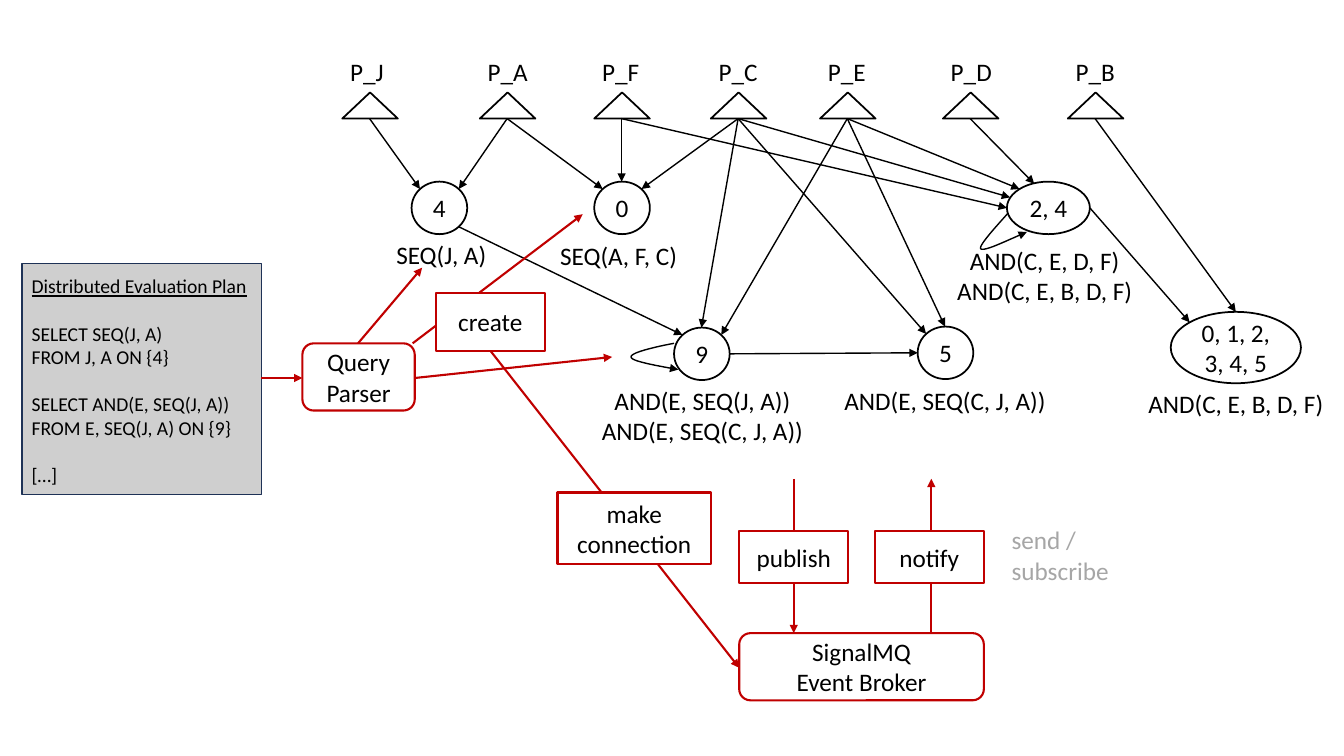
from math import cos, radians, sin

from lxml.etree import SubElement
from pptx import Presentation
from pptx.dml.color import RGBColor
from pptx.enum.shapes import MSO_CONNECTOR, MSO_SHAPE
from pptx.enum.text import MSO_ANCHOR, PP_ALIGN
from pptx.oxml.ns import qn
from pptx.util import Pt

PX = 9525
BLACK = RGBColor(0x00, 0x00, 0x00)
WHITE = RGBColor(0xFF, 0xFF, 0xFF)
RED = RGBColor(0xC0, 0x00, 0x00)
GREY = RGBColor(0xA6, 0xA6, 0xA6)
NAVY = RGBColor(0x1E, 0x32, 0x56)

# Directions on a node's rim, in degrees clockwise from the right
E, SE, W, NW, N, NE = 0, 45, 180, 225, 270, 315

SOURCES = {"J": 352, "A": 483, "F": 592, "C": 703, "E": 807, "D": 924, "B": 1043}
BASE = 113
NODES = {
    "seq_ja": ("4", 392, 173, 53, 50),
    "seq_afc": ("0", 566, 173, 53, 50),
    "and_eja": ("9", 642, 312, 53, 50),
    "and_ecja": ("5", 874, 311, 53, 50),
    "and_cedf": ("2, 4", 959, 173, 79, 50),
    "and_all": ("0, 1, 2, 3, 4, 5", 1115, 297, 124, 68),
}
INPUTS = [
    ("J", "seq_ja", NW), ("A", "seq_ja", NE),
    ("A", "seq_afc", NW), ("F", "seq_afc", N), ("C", "seq_afc", NE),
    ("C", "and_eja", N), ("E", "and_eja", NE),
    ("C", "and_ecja", NW), ("E", "and_ecja", N),
    ("E", "and_cedf", NW), ("F", "and_cedf", W),
    ("C", "and_cedf", 204), ("D", "and_cedf", 250),
    ("B", "and_all", N),
]
FLOWS = [
    ("seq_ja", SE, "and_eja", NW),
    ("and_eja", E, "and_ecja", W),
    ("and_cedf", E, "and_all", NW),
]
LOOPS = [
    [(646, 352), (624, 348), (601, 344), (601, 340), (600, 335), (636, 328), (642, 327)],
    [(978, 221), (957, 230), (937, 240), (934, 237), (931, 234), (957, 207), (960, 203)],
]
LABELS = [
    (["SEQ(J, A)"], 368, 223, 113, PP_ALIGN.LEFT),
    (["SEQ(A, F, C)"], 524, 224, 137, PP_ALIGN.LEFT),
    (["AND(E, SEQ(J, A))", "AND(E, SEQ(C, J, A))"], 558, 362, 222, PP_ALIGN.CENTER),
    (["AND(E, SEQ(C, J, A))"], 789, 362, 222, PP_ALIGN.CENTER),
    (["AND(C, E, D, F)", "AND(C, E, B, D, F)"], 884, 229, 222, PP_ALIGN.CENTER),
    (["AND(C, E, B, D, F)"], 1066, 365, 222, PP_ALIGN.CENTER),
]
PLAN = [
    "Distributed Evaluation Plan", "SELECT SEQ(J, A)", "FROM J, A ON {4}",
    "SELECT AND(E, SEQ(J, A)) FROM E, SEQ(J, A) ON {9}", "[…]",
]
RED_ARROWS = [
    (756, 456, 756, 603), (887, 603, 887, 456),
    (341, 327, 402, 255), (395, 360, 583, 340),
    (393, 327, 555, 204), (249, 360, 288, 360), (467, 334, 704, 636),
]
RED_BOXES = [
    (MSO_SHAPE.ROUNDED_RECTANGLE, 288, 327, 107, 64, ["Query Parser"]),
    (MSO_SHAPE.RECTANGLE, 415, 279, 104, 55, ["create"]),
    (MSO_SHAPE.ROUNDED_RECTANGLE, 704, 603, 233, 64, ["SignalMQ", "Event Broker"]),
    (MSO_SHAPE.RECTANGLE, 704, 506, 104, 49, ["publish"]),
    (MSO_SHAPE.RECTANGLE, 833, 506, 104, 49, ["notify"]),
    (MSO_SHAPE.RECTANGLE, 531, 469, 146, 68, ["make connection"]),
]


def rim(name, angle):
    """Point on the outline of a node in the given direction."""
    _, x, y, w, h = NODES[name]
    turn = radians(angle)
    return round(x + w / 2 * (1 + cos(turn))), round(y + h / 2 * (1 + sin(turn)))


def bend(a, b, c, d, steps=12):
    """Points along a cubic curve, without its start, in EMU."""
    for i in range(1, steps + 1):
        t = i / steps
        u = 1 - t
        yield tuple(
            round(PX * (u**3 * p + 3 * u * u * t * q + 3 * u * t * t * r + t**3 * s))
            for p, q, r, s in zip(a, b, c, d)
        )


class Board:
    def __init__(self, slide, font="Calibri", size=18):
        self.shapes = slide.shapes
        self.font = font
        self.size = size

    def text(self, frame, lines, align, color=BLACK, size=None):
        frame.word_wrap = True
        for i, line in enumerate(lines):
            par = frame.paragraphs[0] if i == 0 else frame.add_paragraph()
            par.text = line
            par.alignment = align
            par.font.name = self.font
            par.font.size = Pt(size or self.size)
            par.font.color.rgb = color

    def label(self, lines, x, y, w, h, align=PP_ALIGN.LEFT, color=BLACK):
        box = self.shapes.add_textbox(x * PX, y * PX, w * PX, h * PX)
        self.text(box.text_frame, lines, align, color)

    def stroke(self, item, color, width, end=None):
        """Set the line, with an arrowhead at headEnd or tailEnd if named."""
        item.line.color.rgb = color
        item.line.width = Pt(width)
        if end:
            SubElement(item.element.spPr.find(qn("a:ln")), qn(end), type="triangle")

    def shape(self, kind, x, y, w, h, line=BLACK, width=1.25, fill=WHITE):
        item = self.shapes.add_shape(kind, x * PX, y * PX, w * PX, h * PX)
        item.shadow.inherit = False
        item.fill.solid()
        item.fill.fore_color.rgb = fill
        self.stroke(item, line, width)
        return item

    def box(self, kind, x, y, w, h, lines, line=RED, width=1.5):
        item = self.shape(kind, x, y, w, h, line, width)
        frame = item.text_frame
        frame.vertical_anchor = MSO_ANCHOR.MIDDLE
        self.text(frame, lines, PP_ALIGN.CENTER)
        return item

    def node(self, text, x, y, w, h):
        frame = self.box(MSO_SHAPE.OVAL, x, y, w, h, [text], BLACK, 1.25).text_frame
        frame.margin_left = frame.margin_right = 3 * PX
        frame.margin_top = frame.margin_bottom = 0

    def arrow(self, x1, y1, x2, y2, color=BLACK, width=1):
        item = self.shapes.add_connector(
            MSO_CONNECTOR.STRAIGHT, x1 * PX, y1 * PX, x2 * PX, y2 * PX)
        self.stroke(item, color, width, "a:tailEnd")
        SubElement(item.element.spPr, qn("a:effectLst"))

    def loop(self, points):
        """Curved arrow from a node to itself, with its head at the first point."""
        x, y = points[0]
        curve = self.shapes.build_freeform(x * PX, y * PX)
        for i in (0, 3):
            curve.add_line_segments(list(bend(*points[i:i + 4])), close=False)
        item = curve.convert_to_shape()
        item.shadow.inherit = False
        item.fill.background()
        self.stroke(item, BLACK, 1, "a:headEnd")

    def plan(self, lines, x, y, w, h):
        item = self.shape(MSO_SHAPE.RECTANGLE, x, y, w, h, NAVY, 1, GREY)
        tint = item.element.spPr.find(qn("a:solidFill"))[0]
        SubElement(tint, qn("a:alpha"), val="53000")
        frame = item.text_frame
        frame.vertical_anchor = MSO_ANCHOR.TOP
        frame.margin_top = 10 * PX
        frame.margin_left = frame.margin_right = 9 * PX
        self.text(frame, lines, PP_ALIGN.LEFT, size=14)
        frame.paragraphs[0].font.underline = True
        for i in (1, 3, 4):
            frame.paragraphs[i].space_before = Pt(17)


def main():
    deck = Presentation()
    deck.slide_width, deck.slide_height = 1280 * PX, 720 * PX
    board = Board(deck.slides.add_slide(deck.slide_layouts[6]))
    board.plan(PLAN, 21, 251, 228, 220)
    for name, x in SOURCES.items():
        board.shape(MSO_SHAPE.ISOSCELES_TRIANGLE, x - 26, 88, 53, 25)
        board.label([f"P_{name}"], x - 28, 49, 67, 38)
    for node in NODES.values():
        board.node(*node)
    for lines, x, y, w, align in LABELS:
        board.label(lines, x, y, w, 9 + 29 * len(lines), align)
    for name, node, side in INPUTS:
        board.arrow(SOURCES[name], BASE, *rim(node, side))
    for start, out, end, side in FLOWS:
        board.arrow(*rim(start, out), *rim(end, side))
    for points in LOOPS:
        board.loop(points)
    for ends in RED_ARROWS:
        board.arrow(*ends, RED, 1.5)
    for box in RED_BOXES:
        board.box(*box)
    board.label(["send / subscribe"], 954, 495, 139, 68, color=GREY)
    deck.save("out.pptx")


if __name__ == "__main__":
    main()
